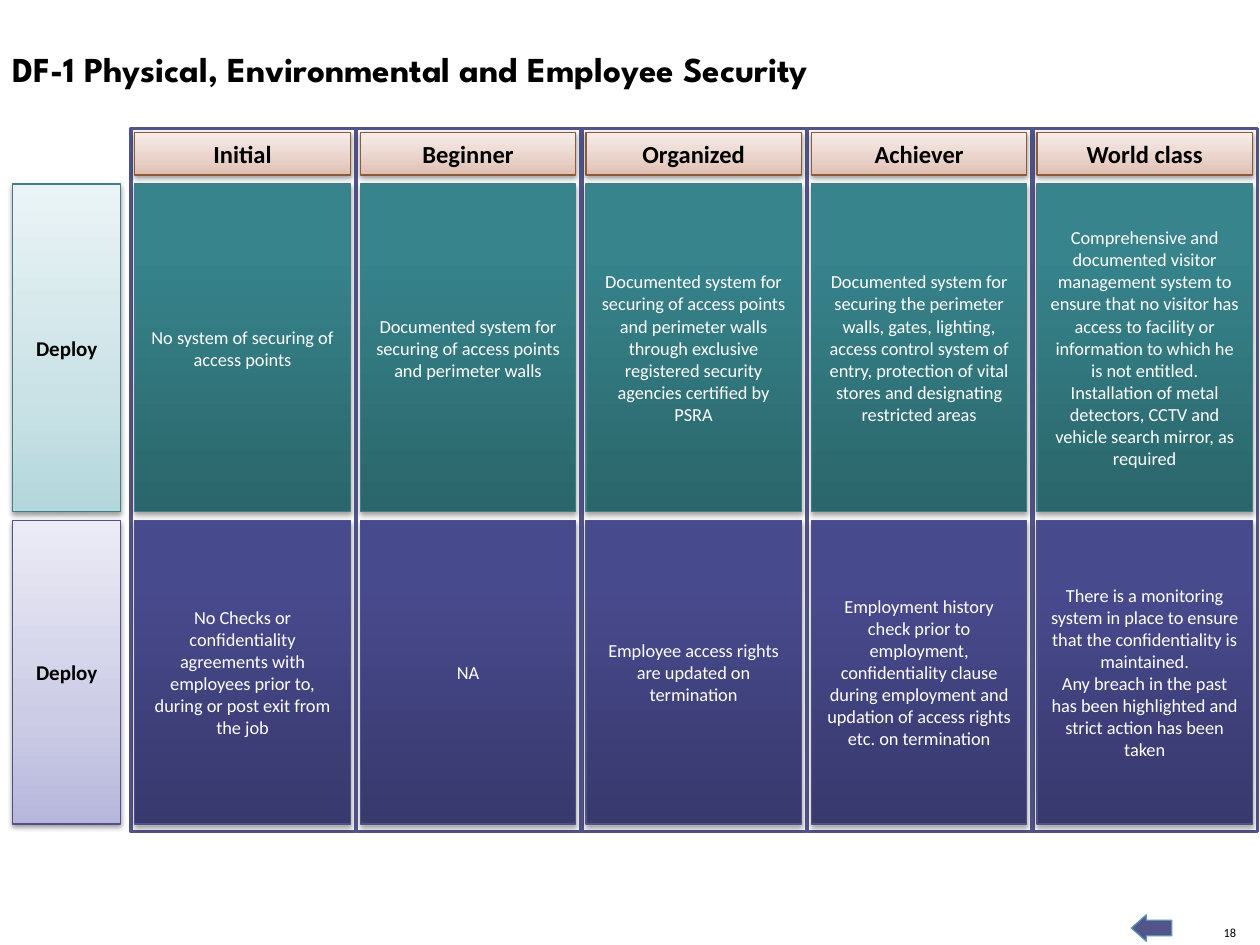
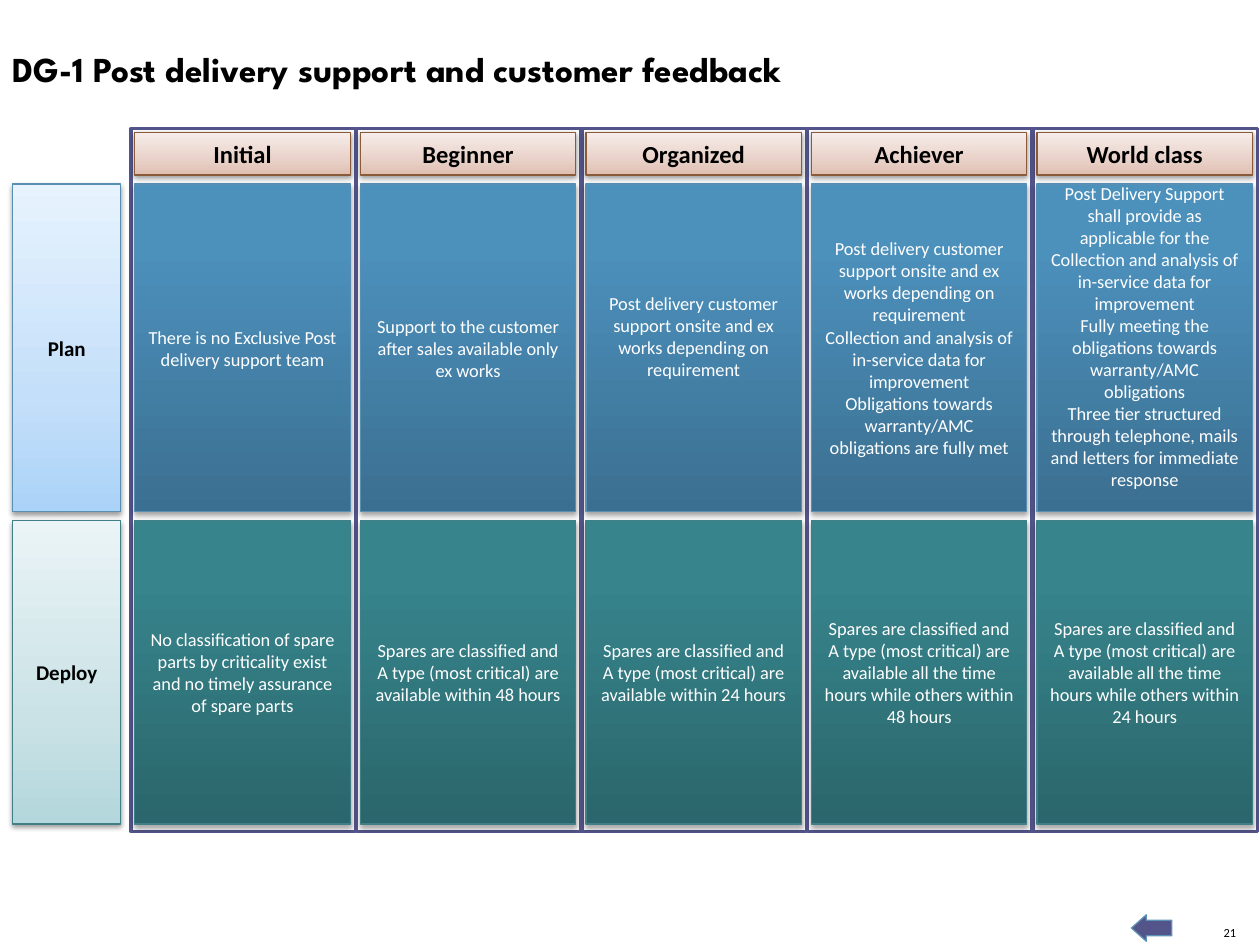
from copy import deepcopy
from lxml.etree import SubElement
from pptx import Presentation
from pptx.dml.color import RGBColor
from pptx.enum.shapes import MSO_SHAPE
from pptx.enum.text import MSO_ANCHOR, PP_ALIGN
from pptx.oxml.ns import qn
from pptx.util import Inches, Pt

BLACK = RGBColor(0x00, 0x00, 0x00)
WHITE = RGBColor(0xFF, 0xFF, 0xFF)
INDIGO = RGBColor(0x53, 0x54, 0x8A)
ARROW_EDGE = RGBColor(0x5C, 0x92, 0xB5)
TEAL_EDGE = RGBColor(0x40, 0x7F, 0x85)
PURPLE_EDGE = RGBColor(0x50, 0x51, 0x88)
BLUE_EDGE = RGBColor(0x58, 0x8F, 0xB3)
BROWN_EDGE = RGBColor(0x8A, 0x5B, 0x3A)

TEAL_PALE = [RGBColor(0xB3, 0xD7, 0xDC), RGBColor(0xCA, 0xE2, 0xE6), RGBColor(0xEA, 0xF4, 0xF6)]
TEAL_DEEP = [RGBColor(0x2A, 0x66, 0x6B), RGBColor(0x37, 0x84, 0x8C), RGBColor(0x36, 0x86, 0x8E)]
PURPLE_PALE = [RGBColor(0xB6, 0xB7, 0xDC), RGBColor(0xCC, 0xCC, 0xE6), RGBColor(0xEB, 0xEB, 0xF6)]
PURPLE_DEEP = [RGBColor(0x38, 0x39, 0x6D), RGBColor(0x48, 0x4A, 0x8E), RGBColor(0x47, 0x49, 0x90)]
BLUE_PALE = [RGBColor(0xAB, 0xD3, 0xF8), RGBColor(0xC4, 0xDF, 0xF9), RGBColor(0xE7, 0xF3, 0xFE)]
BLUE_DEEP = [RGBColor(0x3B, 0x6F, 0x91), RGBColor(0x4C, 0x90, 0xBC), RGBColor(0x4A, 0x91, 0xBF)]
PEACH_PALE = [RGBColor(0xE0, 0xBE, 0xB0), RGBColor(0xE8, 0xD1, 0xC8), RGBColor(0xF7, 0xED, 0xEA)]

TEAL = (TEAL_PALE, TEAL_DEEP, TEAL_EDGE)
PURPLE = (PURPLE_PALE, PURPLE_DEEP, PURPLE_EDGE)
BLUE = (BLUE_PALE, BLUE_DEEP, BLUE_EDGE)

LEVELS = ["Initial", "Beginner", "Organized", "Achiever", "World class"]
ROWS = [(1.46, 2.6), (4.13, 2.41)]
COL_LEFT, COL_STEP, COL_WIDTH = 1.04, 1.79, 1.78
CELL_INSET, CELL_WIDTH = 0.03, 1.71

SLIDES = [
    ("DF-1 Physical, Environmental and Employee Security", "18", [
        ("Deploy", TEAL, [
            "No system of securing of access points",
            "Documented system for securing of access points and perimeter walls",
            "Documented system for securing of access points and perimeter walls through exclusive "
            "registered security agencies certified by PSRA",
            "Documented system for securing the perimeter walls, gates, lighting, access control "
            "system of entry, protection of vital stores and designating restricted areas",
            "Comprehensive and documented visitor management system to ensure that no visitor has "
            "access to facility or information to which he is not entitled. Installation of metal "
            "detectors, CCTV and vehicle search mirror, as required",
        ]),
        ("Deploy", PURPLE, [
            "No Checks or confidentiality agreements with employees prior to, during or post exit "
            "from the job",
            "NA",
            "Employee access rights are updated on termination",
            "Employment history check prior to employment, confidentiality clause during employment "
            "and updation of access rights etc. on termination",
            "There is a monitoring system in place to ensure that the confidentiality is maintained.\n"
            "Any breach in the past has been highlighted and strict action has been taken",
        ]),
    ]),
    ("DG-1 Post delivery support and customer feedback", "21", [
        ("Plan", BLUE, [
            "There is no Exclusive Post delivery support team",
            "Support to the customer after sales available only ex works",
            "Post delivery customer support onsite and ex works depending on requirement",
            "Post delivery customer support onsite and ex works depending on requirement\n"
            "Collection and analysis of in-service data for improvement\n"
            "Obligations towards warranty/AMC obligations are fully met",
            "Post Delivery Support shall provide as applicable for the\n"
            "Collection and analysis of in-service data for improvement\n"
            "Fully meeting the obligations towards warranty/AMC obligations\n"
            "Three tier structured through telephone, mails and letters for immediate response",
        ]),
        ("Deploy", TEAL, [
            "No classification of spare parts by criticality exist and no timely assurance of spare "
            "parts",
            "Spares are classified and A type (most critical) are available within 48 hours",
            "Spares are classified and A type (most critical) are available within 24 hours",
            "Spares are classified and A type (most critical) are available all the time hours while "
            "others within 48 hours",
            "Spares are classified and A type (most critical) are available all the time hours while "
            "others within 24 hours",
        ]),
    ]),
]
RAISED_CELLS = [("21", 0, 2), ("21", 0, 4)]


def write(sp, text, size=10.5, color=BLACK, bold=False, font="Calibri",
          align=PP_ALIGN.CENTER, anchor=MSO_ANCHOR.MIDDLE, wrap=True):
    tf = sp.text_frame
    tf.word_wrap = wrap
    tf.vertical_anchor = anchor
    for i, line in enumerate(text.split("\n")):
        p = tf.paragraphs[0] if i == 0 else tf.add_paragraph()
        p.alignment = align
        r = p.add_run()
        r.text = line
        r.font.name = font
        r.font.size = Pt(size)
        r.font.bold = bold
        r.font.color.rgb = color


def add_panel(s, left, top, width, height, colors, edge, middle=0.35, alpha=38, dist=1.6):
    sp = s.shapes.add_shape(MSO_SHAPE.RECTANGLE, Inches(left), Inches(top),
                            Inches(width), Inches(height))
    sp.fill.gradient()
    sp.fill.gradient_angle = 90
    stops = sp._element.spPr.find(".//" + qn("a:gsLst"))
    stops.append(deepcopy(stops[0]))
    for stop, position, color in zip(sp.fill.gradient_stops, (0, middle, 1), colors):
        stop.position = position
        stop.color.rgb = color
    sp.line.color.rgb = edge
    sp.line.width = Pt(0.75)
    sp.shadow.inherit = False
    effects = sp._element.spPr.find(qn("a:effectLst"))
    shadow = SubElement(effects, qn("a:outerShdw"), blurRad=str(Pt(3.1)), dist=str(Pt(dist)),
                        dir="5400000", rotWithShape="0")
    black = SubElement(shadow, qn("a:srgbClr"), val="000000")
    SubElement(black, qn("a:alpha"), val=str(alpha * 1000))
    return sp


prs = Presentation()
prs.slide_width = Inches(10)
prs.slide_height = Inches(7.5)

for title, number, rows in SLIDES:
    s = prs.slides.add_slide(prs.slide_layouts[6])

    sp = s.shapes.add_textbox(Inches(9.69), Inches(7.34), Inches(0.12), Inches(0.12))
    tf = sp.text_frame
    tf.margin_left = tf.margin_top = tf.margin_right = tf.margin_bottom = 0
    write(sp, number, size=7.1, align=PP_ALIGN.RIGHT, anchor=MSO_ANCHOR.BOTTOM, wrap=False)

    sp = s.shapes.add_shape(MSO_SHAPE.RIGHT_ARROW, Inches(8.98), Inches(7.26),
                            Inches(0.32), Inches(0.21))
    sp.rotation = 180
    sp.adjustments[0] = 0.59
    sp.adjustments[1] = 0.56
    sp.fill.solid()
    sp.fill.fore_color.rgb = INDIGO
    sp.line.color.rgb = ARROW_EDGE
    sp.line.width = Pt(0.75)
    sp.shadow.inherit = False

    sp = s.shapes.add_textbox(0, Inches(0.33), Inches(8.6), Inches(0.44))
    write(sp, title, size=20, bold=True, font="League Spartan",
          align=PP_ALIGN.LEFT, anchor=MSO_ANCHOR.TOP)

    for (top, height), (label, (pale, deep, edge), cells) in zip(ROWS, rows):
        sp = add_panel(s, 0.1, top, 0.86, height, pale, edge)
        write(sp, label, size=12, bold=True)

    for col in range(len(LEVELS)):
        sp = s.shapes.add_shape(MSO_SHAPE.RECTANGLE, Inches(COL_LEFT + col * COL_STEP),
                                Inches(1.02), Inches(COL_WIDTH), Inches(5.58))
        sp.fill.solid()
        sp.fill.fore_color.rgb = WHITE
        sp.line.color.rgb = INDIGO
        sp.line.width = Pt(2)
        sp.shadow.inherit = False

    for row, ((top, height), (label, (pale, deep, edge), cells)) in enumerate(zip(ROWS, rows)):
        for col, text in enumerate(cells):
            left = COL_LEFT + CELL_INSET + col * COL_STEP
            sp = add_panel(s, left, top, CELL_WIDTH, height, deep, edge,
                           middle=0.8, alpha=35, dist=1.8)
            write(sp, text, color=WHITE)
            if (number, row, col) in RAISED_CELLS:
                sp.text_frame.margin_bottom = Inches(0.23)

    for col, level in enumerate(LEVELS):
        left = COL_LEFT + CELL_INSET + col * COL_STEP
        sp = add_panel(s, left, 1.05, CELL_WIDTH, 0.34, PEACH_PALE, BROWN_EDGE)
        write(sp, level, size=14, bold=True)

prs.save("out.pptx")
